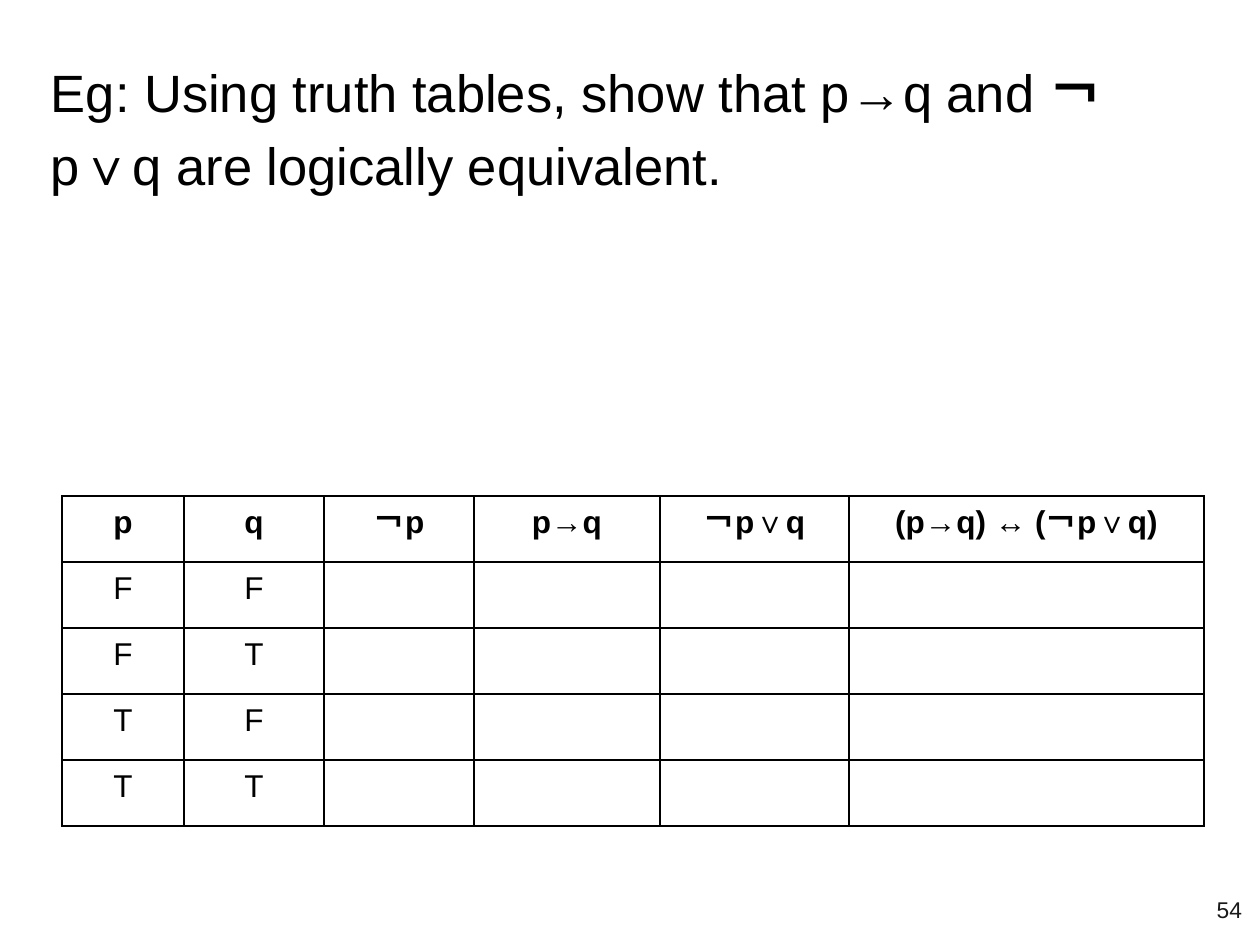
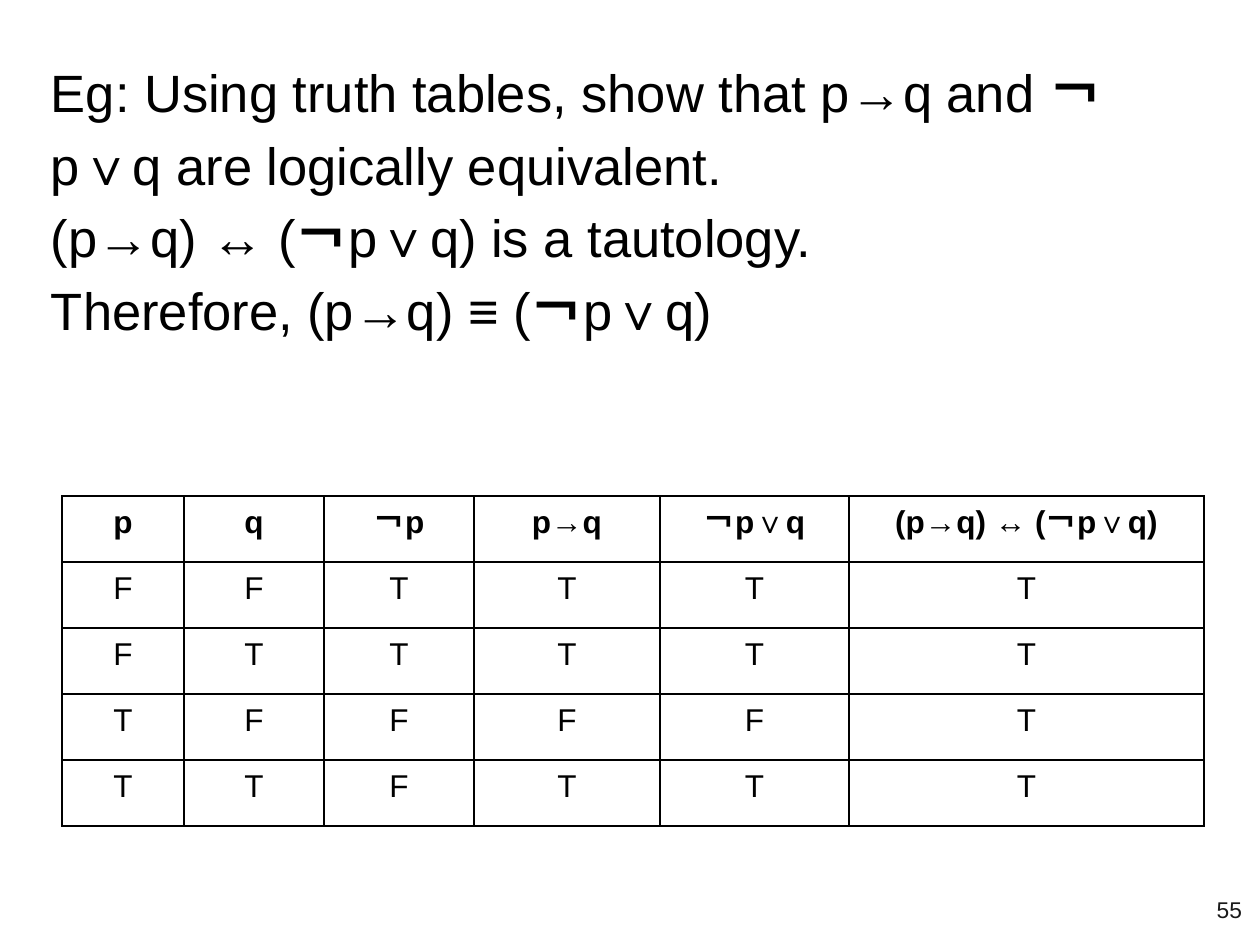
from itertools import groupby, product

from lxml.etree import SubElement
from pptx import Presentation
from pptx.dml.color import RGBColor
from pptx.enum.text import MSO_ANCHOR, MSO_AUTO_SIZE, PP_ALIGN
from pptx.oxml import parse_xml
from pptx.oxml.ns import nsdecls, qn
from pptx.util import Emu, Pt

FONT = "Arial"
INK = "000000"
GREY = "191919"
SIGNS = "→￢∨↔"
SIDES = ("left", "right", "top", "bottom")
TASK = "Eg: Using truth tables, show that p→q and ￢p∨q are logically equivalent."
PROOF = ["(p→q) ↔ (￢p∨q) is a tautology.", "Therefore, (p→q) ≡ (￢p∨q)"]
HEADS = ["p", "q", "￢p", "p→q", "￢p∨q", "(p→q) ↔ (￢p∨q)"]
COLS = [122, 140, 150, 186, 189, 355]
ROW = 66


def px(count):
    return Emu(round(count * 914400 / 126))


def hue(code):
    return RGBColor.from_string(code)


def put(item, values):
    for name, value in values.items():
        setattr(item, name, value)


def pad(item, count):
    put(item, {"margin_" + side: px(count) for side in SIDES})


def add_run(para, text, size, color=INK, bold=False):
    run = para.add_run()
    run.text = text
    put(run.font, {"size": Pt(size), "name": FONT, "bold": bold})
    run.font.color.rgb = hue(color)
    for tag in ("a:ea", "a:cs", "a:sym"):
        SubElement(run.font._element, qn(tag), typeface=FONT)


def add_title(slide, lines):
    title = slide.shapes.title
    put(title, {"left": px(38), "top": px(38), "width": px(1184), "height": px(362)})
    frame = title.text_frame
    put(frame, {"word_wrap": True, "auto_size": MSO_AUTO_SIZE.NONE,
                "vertical_anchor": MSO_ANCHOR.TOP})
    pad(frame, 13)
    for row, line in enumerate(lines):
        para = frame.add_paragraph() if row else frame.paragraphs[0]
        put(para, {"alignment": PP_ALIGN.LEFT, "line_spacing": 1.15})
        for bold, part in groupby(line, lambda char: char in SIGNS):
            add_run(para, "".join(part), 30, bold=bold)


def add_edges(cell):
    props = cell._tc.get_or_add_tcPr()
    for spot, side in enumerate("LRTB"):
        props.insert(spot, parse_xml(
            f'<a:ln{side} {nsdecls("a")} w="{Pt(1)}"><a:solidFill>'
            f'<a:srgbClr val="{INK}"/></a:solidFill></a:ln{side}>'))


def fill_cell(cell, text, bold):
    cell.fill.background()
    pad(cell, 9)
    add_edges(cell)
    para = cell.text_frame.paragraphs[0]
    para.alignment = PP_ALIGN.CENTER
    if text:
        add_run(para, text, 18, bold=bold)


def truth_rows(solved):
    for p, q in product((False, True), repeat=2):
        cond, disj = not p or q, (not p) or q
        marks = ["FT"[value] for value in (p, q, not p, cond, disj, cond == disj)]
        yield marks if solved else marks[:2] + [""] * 4


def add_truth(slide, solved):
    rows = [HEADS, *truth_rows(solved)]
    table = slide.shapes.add_table(len(rows), len(COLS), px(62), px(496),
                                   px(sum(COLS)), px(ROW * len(rows))).table
    put(table, {"first_row": False, "horz_banding": False})
    for col, width in zip(table.columns, COLS):
        col.width = px(width)
    for line, (row, texts) in enumerate(zip(table.rows, rows)):
        row.height = px(ROW)
        for cell, text in zip(row.cells, texts):
            fill_cell(cell, text, line == 0)


def add_number(slide, number):
    frame = slide.shapes.add_textbox(px(1179), px(873), px(76), px(72)).text_frame
    put(frame, {"word_wrap": True, "vertical_anchor": MSO_ANCHOR.MIDDLE})
    pad(frame, 13)
    para = frame.paragraphs[0]
    para.alignment = PP_ALIGN.RIGHT
    add_run(para, str(number), 13, GREY)


def main():
    deck = Presentation()
    put(deck, {"slide_width": px(1260), "slide_height": px(945)})
    for number, solved in ((54, False), (55, True)):
        slide = deck.slides.add_slide(deck.slide_layouts[5])
        add_title(slide, [TASK] + (PROOF if solved else []))
        add_truth(slide, solved)
        add_number(slide, number)
    deck.save("out.pptx")


if __name__ == "__main__":
    main()
